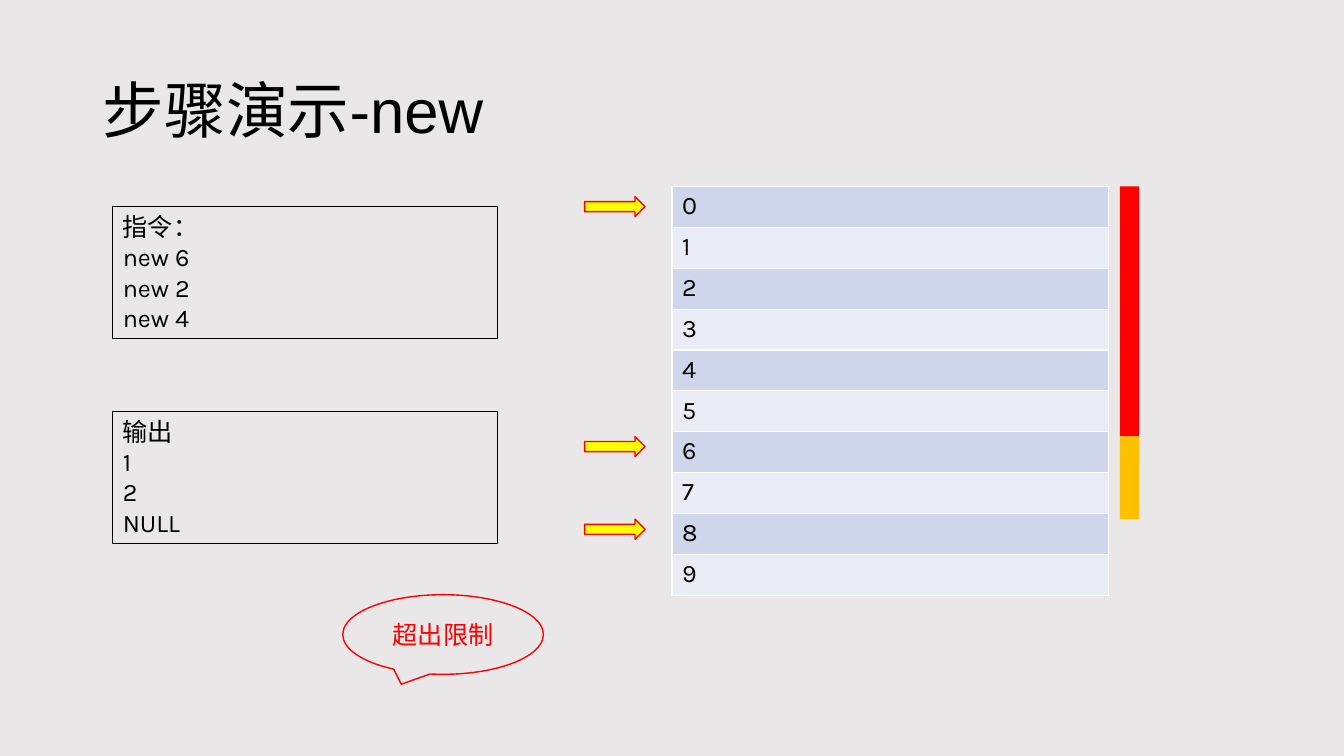
from dataclasses import dataclass

from lxml.etree import SubElement
from pptx import Presentation
from pptx.dml.color import RGBColor
from pptx.enum.shapes import MSO_SHAPE
from pptx.enum.text import MSO_ANCHOR, MSO_AUTO_SIZE, PP_ALIGN
from pptx.oxml.ns import qn
from pptx.util import Inches, Pt


@dataclass(frozen=True)
class Theme:
    background: str = "E9E7E7"
    ink: str = "000000"
    alert: str = "FF0000"
    arrow: str = "FFFF00"
    second_block: str = "FFC000"
    bands: tuple = ("CFD5EA", "E9EBF5")
    border: str = "FFFFFF"
    title_font: str = "Arial"
    body_font: str = "Karla"
    title_size: int = 44
    body_size: int = 18


theme = Theme()
deck = Presentation()
deck.slide_width, deck.slide_height = Inches(13.33), Inches(7.5)
page = deck.slides.add_slide(deck.slide_layouts[5])
page.background.fill.solid()
page.background.fill.fore_color.rgb = RGBColor.from_string(theme.background)

# Grid of one hundred columns by one hundred rows
column, row = deck.slide_width / 100, deck.slide_height / 100


def add_box(kind, left, top, width, height, fill=None, line=None, weight=1):
    box = page.shapes.add_shape(kind, int(left * column), int(top * row),
                                int(width * column), int(height * row))
    box.shadow.inherit = False
    for part, color in ((box.fill, fill), (box.line.fill, line)):
        if color:
            part.solid()
            part.fore_color.rgb = RGBColor.from_string(color)
        else:
            part.background()
    if line:
        box.line.width = Pt(weight)
    return box


def write(frame, lines, color=theme.ink, align=PP_ALIGN.LEFT,
          font=theme.body_font, size=theme.body_size):
    for index, text in enumerate(lines):
        para = frame.add_paragraph() if index else frame.paragraphs[0]
        para.alignment = align
        span = para.add_run()
        span.text = text
        span.font.name = font
        span.font.size = Pt(size)
        span.font.color.rgb = RGBColor.from_string(color)


# Title
title = page.shapes.title
title.left, title.top = int(6.9 * column), int(5.33 * row)
title.width, title.height = int(86.25 * column), int(19.33 * row)
title.text_frame.vertical_anchor = MSO_ANCHOR.MIDDLE
title.text_frame.auto_size = MSO_AUTO_SIZE.NONE
write(title.text_frame, ["步骤演示-new"], font=theme.title_font, size=theme.title_size)
title.text_frame.paragraphs[0].line_spacing = 0.9

# Commands and their output
panels = ((27.33, ["指令：", "new 6", "new 2", "new 4"]),
          (54.4, ["输出", "1", "2", "NULL"]))
for top, lines in panels:
    panel = add_box(MSO_SHAPE.RECTANGLE, 8.4, top, 28.65, 17.47,
                    line=theme.ink, weight=0.75)
    panel.text_frame.word_wrap = True
    panel.text_frame.auto_size = MSO_AUTO_SIZE.SHAPE_TO_FIT_TEXT
    panel.text_frame.vertical_anchor = MSO_ANCHOR.TOP
    write(panel.text_frame, lines)

# Memory cells
memory_top, cell_count, cell_height = 24.67, 10, 5.41
memory = page.shapes.add_table(cell_count, 1, int(50 * column), int(memory_top * row),
                               int(32.5 * column), int(cell_count * cell_height * row)).table
memory.first_row = memory.horz_banding = False
for index in range(cell_count):
    memory.rows[index].height = int(cell_height * row)
    cell = memory.cell(index, 0)
    properties = cell._tc.get_or_add_tcPr()
    for side in ("a:lnL", "a:lnR", "a:lnT", "a:lnB"):
        edge = SubElement(properties, qn(side), w=str(Pt(1)))
        SubElement(SubElement(edge, qn("a:solidFill")), qn("a:srgbClr"), val=theme.border)
    cell.fill.solid()
    cell.fill.fore_color.rgb = RGBColor.from_string(theme.bands[index % 2])
    write(cell.text_frame, [str(index)])

# Allocated blocks, stacked from the first memory cell
block_end = memory_top
arrow_tops = [26]
for height, color in ((33.07, theme.alert), (10.93, theme.second_block)):
    add_box(MSO_SHAPE.RECTANGLE, 83.33, block_end, 1.43, height, fill=color)
    block_end += height
    arrow_tops.append(block_end)

# Arrows at the start and at each block's end
for top in arrow_tops:
    add_box(MSO_SHAPE.RIGHT_ARROW, 43.5, top, 4.5, 2.67, fill=theme.arrow, line=theme.alert)

# Callout for the failed request
callout = add_box(MSO_SHAPE.OVAL_CALLOUT, 25.5, 78.67, 14.93, 10.53, line=theme.alert)
callout.text_frame.word_wrap = True
callout.text_frame.vertical_anchor = MSO_ANCHOR.MIDDLE
write(callout.text_frame, ["超出限制"], color=theme.alert, align=PP_ALIGN.CENTER)

deck.save("out.pptx")
